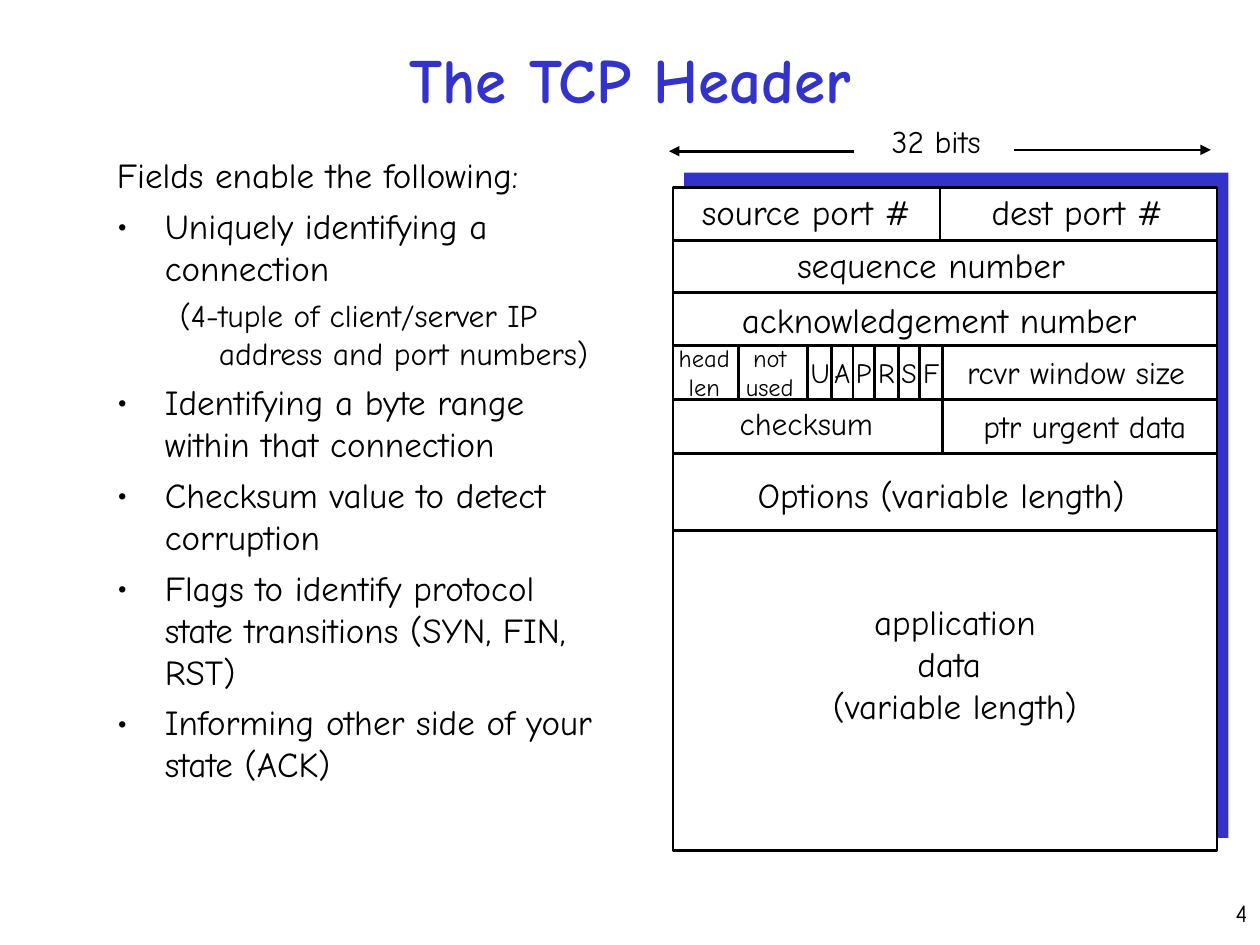
"""Build the slide that explains the fields of the TCP header."""
from itertools import pairwise
from typing import Any, NamedTuple

from lxml import etree
from pptx import Presentation
from pptx import util as u
from pptx.dml.color import RGBColor
from pptx.enum import shapes, text
from pptx.oxml import ns

FONT = "Comic Neue"
BLUE = RGBColor(0x33, 0x33, 0xCC)
BLACK = RGBColor(0, 0, 0)
WHITE = RGBColor(0xFF, 0xFF, 0xFF)
LEFT, TOP, WIDTH, HEIGHT = 5.34, 1.49, 4.32, 5.26
RIGHT = LEFT + WIDTH
ROW_LINES = [1.91, 2.32, 2.74, 3.17, 3.6, 4.21]
FLAGS = "UAPRSF"
FLAG_EDGES = [6.41, 6.6, 6.77, 6.94, 7.13, 7.3, 7.48]


class Label(NamedTuple):
    left: float
    top: float
    width: float
    height: float
    lines: tuple[str, ...]
    size: int = 20
    align: text.PP_ALIGN = text.PP_ALIGN.CENTER
    color: RGBColor = BLACK
    bold: bool = False
    anchor: text.MSO_ANCHOR = text.MSO_ANCHOR.TOP
    wrap: bool = False


class Rule(NamedTuple):
    x1: float
    y1: float
    x2: float
    y2: float
    arrow: bool = False


class Point(NamedTuple):
    words: str
    bullet: bool = True
    size: int = 20
    margin: float = 0.38
    indent: float = -0.38
    before: float = 5


POINTS = [
    Point("Fields enable the following:", bullet=False, before=0),
    Point("Uniquely identifying a connection"),
    Point("(4-tuple of client/server IP address and port numbers)",
          False, 18, 0.81, -0.31, 4.5),
    Point("Identifying a byte range within that connection"),
    Point("Checksum value to detect corruption"),
    Point("Flags to identify protocol state transitions (SYN, FIN, RST)"),
    Point("Informing other side of your state (ACK)"),
]
TITLE = Label(0.75, 0, 8.5, 1.25, ("The TCP Header",), 36, color=BLUE, bold=True,
              anchor=text.MSO_ANCHOR.MIDDLE, wrap=True)
PAGE_NUMBER = Label(7.92, 7.08, 2.08, 0.5, ("4",), 14, text.PP_ALIGN.RIGHT, wrap=True)
FIELDS = [
    Label(6.93, 0.92, 1, 0.4, ("32 bits",), 18),
    Label(5.47, 1.46, 1.86, 0.44, ("source port #",)),
    Label(7.77, 1.46, 1.56, 0.44, ("dest port #",)),
    Label(6.03, 1.88, 2.72, 0.44, ("sequence number",)),
    Label(5.59, 2.32, 3.73, 0.44, ("acknowledgement number",)),
    Label(5.24, 2.67, 0.7, 0.57, ("head", "len"), 14),
    Label(5.76, 2.67, 0.7, 0.57, ("not", "used"), 14),
    Label(7.57, 2.75, 1.94, 0.4, ("rcvr window size",), 18),
    Label(5.77, 3.16, 1.26, 0.4, ("checksum",), 18),
    Label(7.7, 3.18, 1.82, 0.4, ("ptr urgent data",), 18),
    Label(5.91, 3.71, 3.12, 0.44, ("Options (variable length)",)),
    Label(6.51, 4.72, 2.14, 1.1, ("application", "data ", "(variable length)")),
]
FLAG_LABELS = [Label((start + end) / 2 - 0.17, 2.77, 0.34, 0.37, (flag,), 16)
               for flag, (start, end) in zip(FLAGS, pairwise(FLAG_EDGES))]
RULES = [
    *(Rule(LEFT, y, RIGHT, y) for y in ROW_LINES),
    *(Rule(x, 2.74, x, 3.17) for x in [5.86, *FLAG_EDGES[:-1]]),
    Rule(7.46, TOP, 7.46, 1.91),
    Rule(7.48, 2.74, 7.48, 3.6),
    Rule(8.05, 1.19, 9.61, 1.19, True),
    Rule(6.78, 1.2, 5.31, 1.2, True),
]


def apply(target: Any, formats: dict[str, Any]) -> None:
    """Set every format value on the target."""
    for name, value in formats.items():
        setattr(target, name, value)


def style_font(font: Any, size: int, color: RGBColor = BLACK, bold: bool = False) -> None:
    """Give a font the slide's typeface, a size and a colour."""
    apply(font, {"name": FONT, "size": u.Pt(size), "bold": bold})
    font.color.rgb = color


def draw_label(slide: Any, label: Label) -> None:
    """Draw a text box with one paragraph per line, sized to its text unless it wraps."""
    box = slide.shapes.add_textbox(*map(u.Inches, label[:4]))
    frame = box.text_frame
    sizing = text.MSO_AUTO_SIZE.NONE if label.wrap else text.MSO_AUTO_SIZE.SHAPE_TO_FIT_TEXT
    apply(frame, {"word_wrap": label.wrap, "auto_size": sizing,
                  "vertical_anchor": label.anchor, "text": "\n".join(label.lines)})
    for paragraph in frame.paragraphs:
        paragraph.alignment = label.align
        style_font(paragraph.runs[0].font, label.size, label.color, label.bold)


def draw_points(slide: Any, points: list[Point]) -> None:
    """Draw the explanation with its bullets and hanging indents."""
    frame = slide.shapes.add_textbox(*map(u.Inches, (0.83, 1.17, 4, 5.5))).text_frame
    frame.word_wrap = True
    for index, point in enumerate(points):
        paragraph = frame.add_paragraph() if index else frame.paragraphs[0]
        properties = paragraph._p.get_or_add_pPr()
        properties.set("marL", str(u.Inches(point.margin)))
        properties.set("indent", str(u.Inches(point.indent)))
        paragraph.space_before = u.Pt(point.before)
        if point.bullet:
            etree.SubElement(properties, ns.qn("a:buFont")).set("typeface", FONT)
            etree.SubElement(properties, ns.qn("a:buChar")).set("char", "•")
        run = paragraph.add_run()
        run.text = point.words
        style_font(run.font, point.size)


def draw_panel(slide: Any, left: float, top: float, height: float,
               fill: RGBColor, outlined: bool) -> None:
    """Draw a header-wide rectangle."""
    panel = slide.shapes.add_shape(shapes.MSO_SHAPE.RECTANGLE, u.Inches(left),
                                   u.Inches(top), u.Inches(WIDTH), u.Inches(height))
    panel.shadow.inherit = False
    panel.fill.solid()
    panel.fill.fore_color.rgb = fill
    if outlined:
        panel.line.color.rgb = BLACK
        panel.line.width = u.Pt(1.5)
    else:
        panel.line.fill.background()


def draw_rule(slide: Any, rule: Rule) -> None:
    """Draw a black line, with an arrowhead at its end if asked."""
    line = slide.shapes.add_connector(shapes.MSO_CONNECTOR.STRAIGHT,
                                      *map(u.Inches, rule[:4]))
    line.line.color.rgb = BLACK
    line.line.width = u.Pt(1.5)
    if rule.arrow:
        outline = line.line._get_or_add_ln()
        etree.SubElement(outline, ns.qn("a:tailEnd")).set("type", "triangle")
    etree.SubElement(line._element.spPr, ns.qn("a:effectLst"))


def main() -> None:
    """Assemble and save the slide."""
    deck = Presentation()
    apply(deck, {"slide_width": u.Inches(10), "slide_height": u.Inches(7.5)})
    slide = deck.slides.add_slide(deck.slide_layouts[6])
    draw_label(slide, TITLE)
    draw_points(slide, POINTS)
    draw_panel(slide, 5.43, 1.37, 5.28, BLUE, False)
    draw_panel(slide, LEFT, TOP, HEIGHT, WHITE, True)
    for rule in RULES:
        draw_rule(slide, rule)
    for label in [*FIELDS, *FLAG_LABELS, PAGE_NUMBER]:
        draw_label(slide, label)
    deck.save("out.pptx")


if __name__ == "__main__":
    main()
